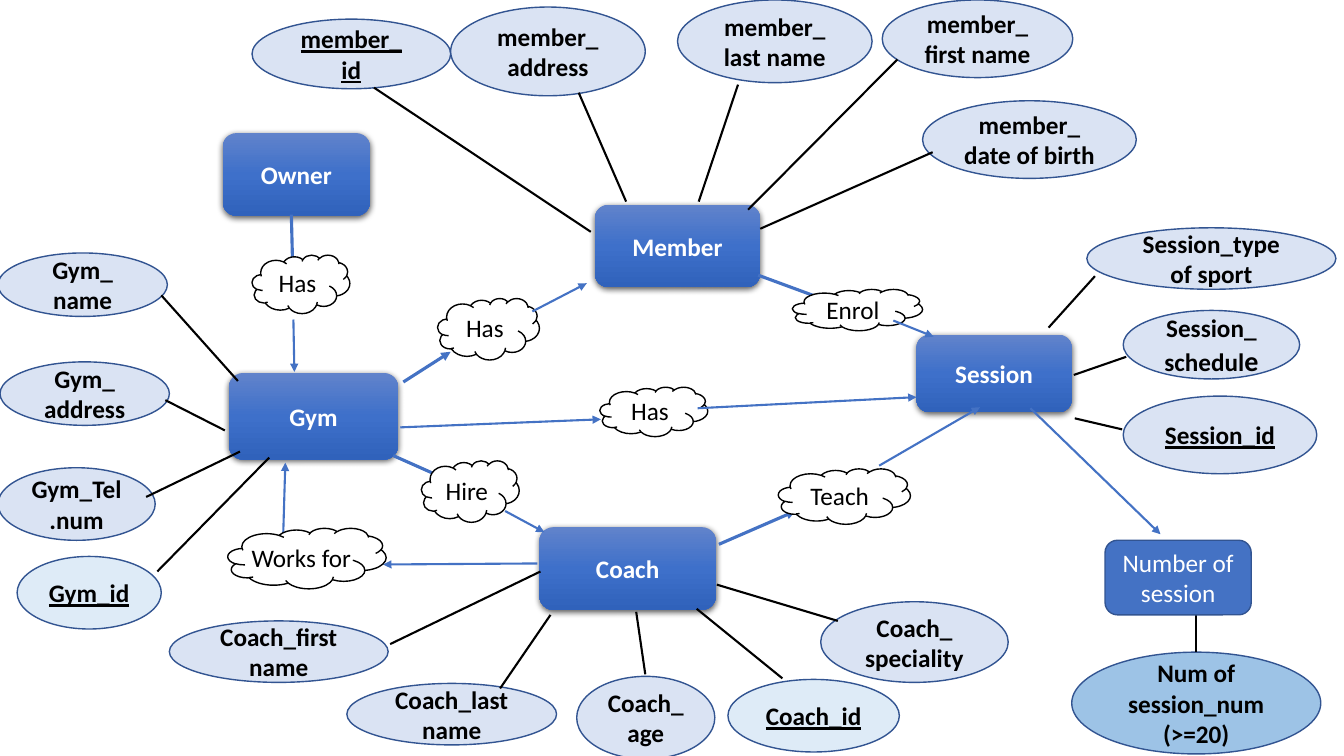
from copy import deepcopy
from dataclasses import dataclass
from typing import NamedTuple, Optional

from lxml.etree import SubElement
from pptx import Presentation
from pptx.dml.color import RGBColor as RGB
from pptx.enum.shapes import MSO_CONNECTOR as CONN, MSO_SHAPE as SHAPE
from pptx.enum.text import MSO_ANCHOR as ANCHOR, PP_ALIGN as ALIGN
from pptx.oxml.ns import qn
from pptx.util import Inches, Pt


@dataclass(frozen=True)
class Theme:
    font: str = "Calibri"
    size: int = 18
    large: int = 20
    black: str = "000000"
    white: str = "FFFFFF"
    blue: str = "4472C4"
    outline: str = "325491"
    pale: str = "DAE3F3"
    ice: str = "DEEBF7"
    sky: str = "9DC3E6"
    gradient: tuple[str, ...] = ("6183CB", "3E70CA", "3062BB")
    thin: float = 1
    medium: float = 1.5
    thick: float = 2.25


T = Theme()


class Box(NamedTuple):
    left: float
    top: float
    width: float
    height: float


class Line(NamedTuple):
    x1: float
    y1: float
    x2: float
    y2: float


@dataclass(frozen=True)
class Entity:
    text: str
    box: Box


@dataclass(frozen=True)
class Attribute:
    text: str
    box: Box
    link: Line
    key: bool = False
    fill: str = T.pale
    large_end: str = ""


@dataclass(frozen=True)
class Relation:
    text: str
    box: Box
    arrow_in: Line
    arrow_out: Line
    width_in: float = T.thick
    out_on_top: bool = True


ENTITIES = [
    Entity("Gym", Box(2.27, 3.7, 1.68, 0.86)),
    Entity("Owner", Box(2.21, 1.32, 1.46, 0.82)),
    Entity("Member", Box(5.9, 2.03, 1.64, 0.82)),
    Entity("Coach", Box(5.35, 5.23, 1.75, 0.82)),
    Entity("Session", Box(9.09, 3.32, 1.54, 0.77)),
]

ATTRIBUTES = [
    # Gym
    Attribute("Gym_ name", Box(-0.02, 2.51, 1.68, 0.63), Line(1.6, 2.93, 2.36, 3.78)),
    Attribute("Gym_ address", Box(0, 3.59, 1.68, 0.63), Line(1.64, 3.97, 2.23, 4.27)),
    Attribute("Gym_Tel.num", Box(-0.02, 4.64, 1.56, 0.72), Line(1.45, 4.93, 2.38, 4.48)),
    Attribute("Gym_id", Box(0.17, 5.52, 1.43, 0.72), Line(2.67, 4.54, 1.56, 5.67), True, T.ice),
    # Member
    Attribute("member_ id", Box(2.5, 0.19, 1.97, 0.69), Line(3.71, 0.87, 5.86, 2.3), True),
    Attribute("member_ address", Box(4.47, 0.07, 1.93, 0.88), Line(5.74, 0.92, 6.21, 2)),
    Attribute("member_ last name", Box(6.72, 0, 1.93, 0.82), Line(7.32, 0.84, 6.93, 2)),
    Attribute("member_ first name", Box(8.75, 0, 1.89, 0.77), Line(8.9, 0.59, 7.42, 2.08)),
    Attribute("member_ date of birth", Box(9.15, 1, 2.12, 0.77), Line(7.54, 2.27, 9.25, 1.51)),
    # Session
    Attribute("Session_type of sport", Box(10.78, 2.26, 2.47, 0.61), Line(10.4, 3.25, 10.86, 2.74)),
    Attribute("Session_ schedul", Box(11.14, 3.08, 1.75, 0.68), Line(10.65, 3.72, 11.17, 3.54),
              large_end="e"),
    Attribute("Session_id", Box(11.14, 3.93, 1.92, 0.77), Line(10.66, 4.15, 11.13, 4.26), True),
    # Coach
    Attribute("Coach_first name", Box(1.68, 6.16, 2.17, 0.61), Line(5.36, 5.67, 3.87, 6.39)),
    Attribute("Coach_last name", Box(3.44, 6.78, 2.08, 0.61), Line(5.46, 6.1, 4.96, 6.83)),
    Attribute("Coach_age", Box(5.72, 6.71, 1.37, 0.82), Line(6.31, 6.07, 6.4, 6.69)),
    Attribute("Coach_id", Box(7.22, 6.74, 1.7, 0.72), Line(6.91, 6.04, 7.76, 6.73), True, T.ice),
    Attribute("Coach_ speciality", Box(8.14, 5.97, 1.86, 0.8), Line(7.11, 5.8, 8.31, 6.16)),
    # Number of session
    Attribute("Num of session_num (>=20)", Box(10.63, 6.47, 2.47, 1.01),
              Line(11.86, 6.09, 11.86, 6.47), fill=T.sky),
]

RELATIONS = [
    Relation("Has", Box(2.5, 2.53, 0.97, 0.58),
             Line(2.89, 2.13, 2.91, 2.95), Line(2.91, 3.17, 2.92, 3.69)),
    Relation("Has", Box(4.34, 2.96, 1.01, 0.61),
             Line(4, 3.79, 4.47, 3.49), Line(5.28, 3.09, 5.82, 2.81)),
    Relation("Enrol", Box(7.86, 2.87, 1.29, 0.41),
             Line(7.52, 2.73, 8.2, 2.98), Line(8.86, 3.18, 9.26, 3.34)),
    Relation("Has", Box(5.95, 3.84, 1.07, 0.49),
             Line(3.97, 4.24, 5.96, 4.16), Line(6.92, 4.05, 9.09, 3.94), T.medium),
    Relation("Hire", Box(4.18, 4.57, 0.97, 0.61),
             Line(3.9, 4.52, 4.44, 4.76), Line(5.01, 5.07, 5.4, 5.28)),
    Relation("Teach", Box(7.72, 4.65, 1.31, 0.55),
             Line(7.13, 5.4, 7.89, 5.07), Line(8.72, 4.62, 9.72, 4.04)),
    Relation("Works for", Box(2.26, 5.24, 1.57, 0.6),
             Line(5.33, 5.59, 3.8, 5.6), Line(2.8, 5.61, 2.83, 4.59), T.medium, False),
]

prs = Presentation()
prs.slide_width, prs.slide_height = Inches(13.33), Inches(7.5)
slide = prs.slides.add_slide(prs.slide_layouts[6])


def add_node(kind: SHAPE, text: str, box: Box, fill: Optional[str], line: Optional[str],
             color: str, bold: bool = False):
    sp = slide.shapes.add_shape(kind, *map(Inches, box))
    sp.shadow.inherit = False
    if fill:
        sp.fill.solid()
        sp.fill.fore_color.rgb = RGB.from_string(fill)
    if line:
        sp.line.color.rgb = RGB.from_string(line)
        sp.line.width = Pt(T.thin)
    else:
        sp.line.fill.background()
    tf = sp.text_frame
    tf.word_wrap, tf.vertical_anchor = True, ANCHOR.MIDDLE
    p = tf.paragraphs[0]
    p.text, p.alignment = text, ALIGN.CENTER
    p.font.name, p.font.size, p.font.bold = T.font, Pt(T.size), bold
    p.font.color.rgb = RGB.from_string(color)
    return sp


def add_line(ends: Line, color: str = T.black, width: float = T.medium, arrow: bool = False) -> None:
    cx = slide.shapes.add_connector(CONN.STRAIGHT, *map(Inches, ends))
    cx.line.color.rgb = RGB.from_string(color)
    cx.line.width = Pt(width)
    if arrow:
        SubElement(cx.line._get_or_add_ln(), qn("a:tailEnd"), type="triangle")
    SubElement(cx._element.spPr, qn("a:effectLst"))


def add_entity(e: Entity) -> None:
    sp = add_node(SHAPE.ROUNDED_RECTANGLE, e.text, e.box, None, None, T.white, True)
    sp.fill.gradient()
    sp.fill.gradient_angle = 270
    spPr = sp._element.spPr
    stops = spPr.find(".//" + qn("a:gsLst"))
    stops.append(deepcopy(stops[0]))
    for i, (stop, color) in enumerate(zip(sp.fill.gradient_stops, T.gradient)):
        stop.position, stop.color.rgb = i / 2, RGB.from_string(color)
    shadow = SubElement(spPr.find(qn("a:effectLst")), qn("a:outerShdw"), blurRad=str(Pt(4.5)),
                        dist=str(Pt(1.5)), dir="5400000", algn="ctr", rotWithShape="0")
    SubElement(SubElement(shadow, qn("a:srgbClr"), val=T.black), qn("a:alpha"), val="63000")


def add_attribute(a: Attribute) -> None:
    sp = add_node(SHAPE.OVAL, a.text, a.box, a.fill, T.outline, T.black, True)
    p = sp.text_frame.paragraphs[0]
    p.font.underline = a.key
    if a.large_end:
        r = p.add_run()
        r.text, r.font.size = a.large_end, Pt(T.large)


def add_relation(rel: Relation) -> None:
    add_line(rel.arrow_in, T.blue, rel.width_in, True)
    if not rel.out_on_top:
        add_line(rel.arrow_out, T.blue, arrow=True)
    tf = add_node(SHAPE.CLOUD, rel.text, rel.box, T.white, T.black, T.black).text_frame
    # Each label stays on one line inside its cloud
    tf.word_wrap, tf.margin_left, tf.margin_right = False, 0, 0
    if rel.out_on_top:
        add_line(rel.arrow_out, T.blue, arrow=True)


# Attributes, entities and the links between them
for attribute in ATTRIBUTES:
    add_attribute(attribute)
for entity in ENTITIES:
    add_entity(entity)
for attribute in ATTRIBUTES:
    add_line(attribute.link)

# Relations with their arrows
for relation in RELATIONS:
    add_relation(relation)

# Session count
add_node(SHAPE.ROUNDED_RECTANGLE, "Number of session", Box(10.96, 5.36, 1.45, 0.74),
         T.blue, T.outline, T.white)
add_line(Line(10.22, 4.05, 11.51, 5.3), T.blue, arrow=True)

prs.save("out.pptx")
